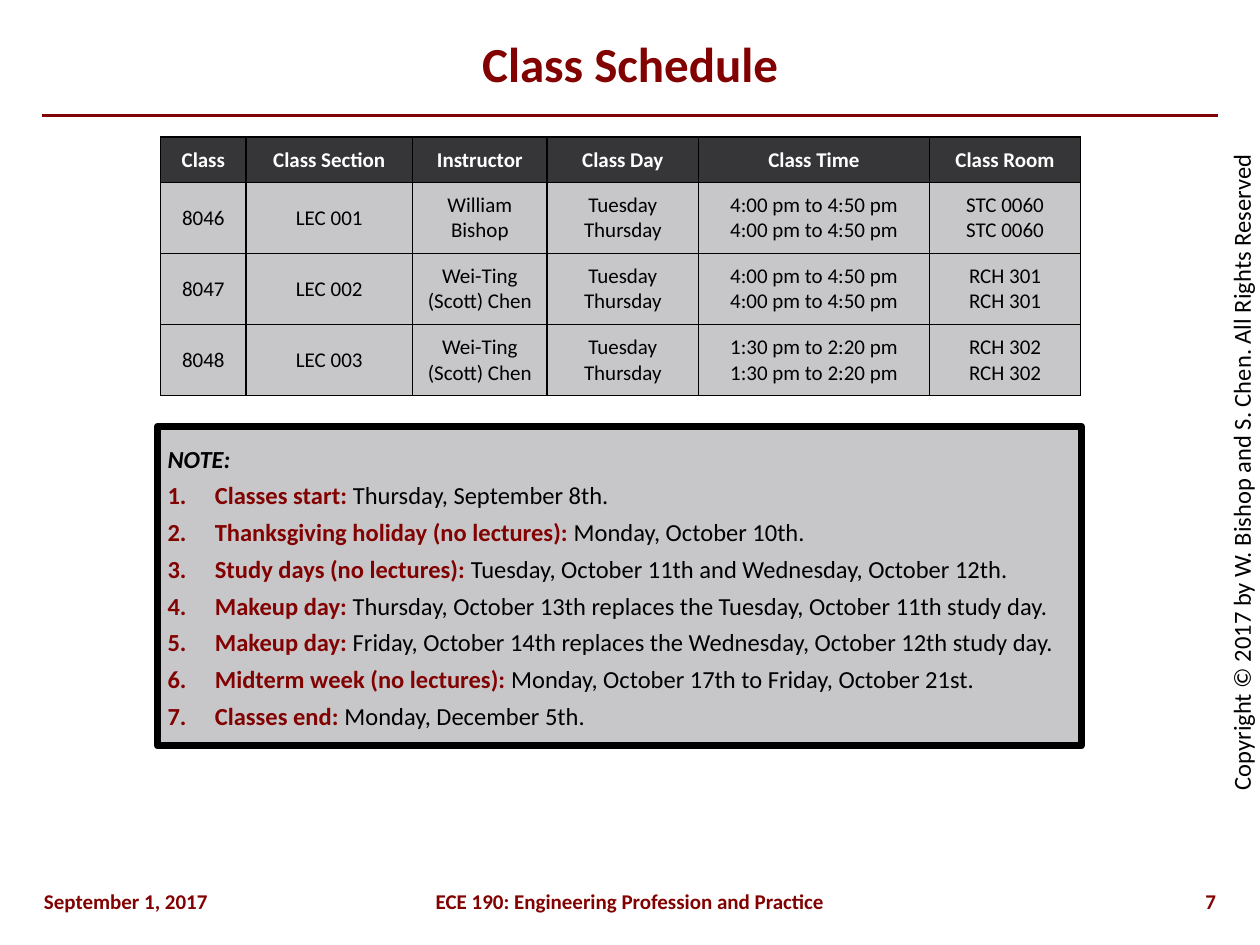
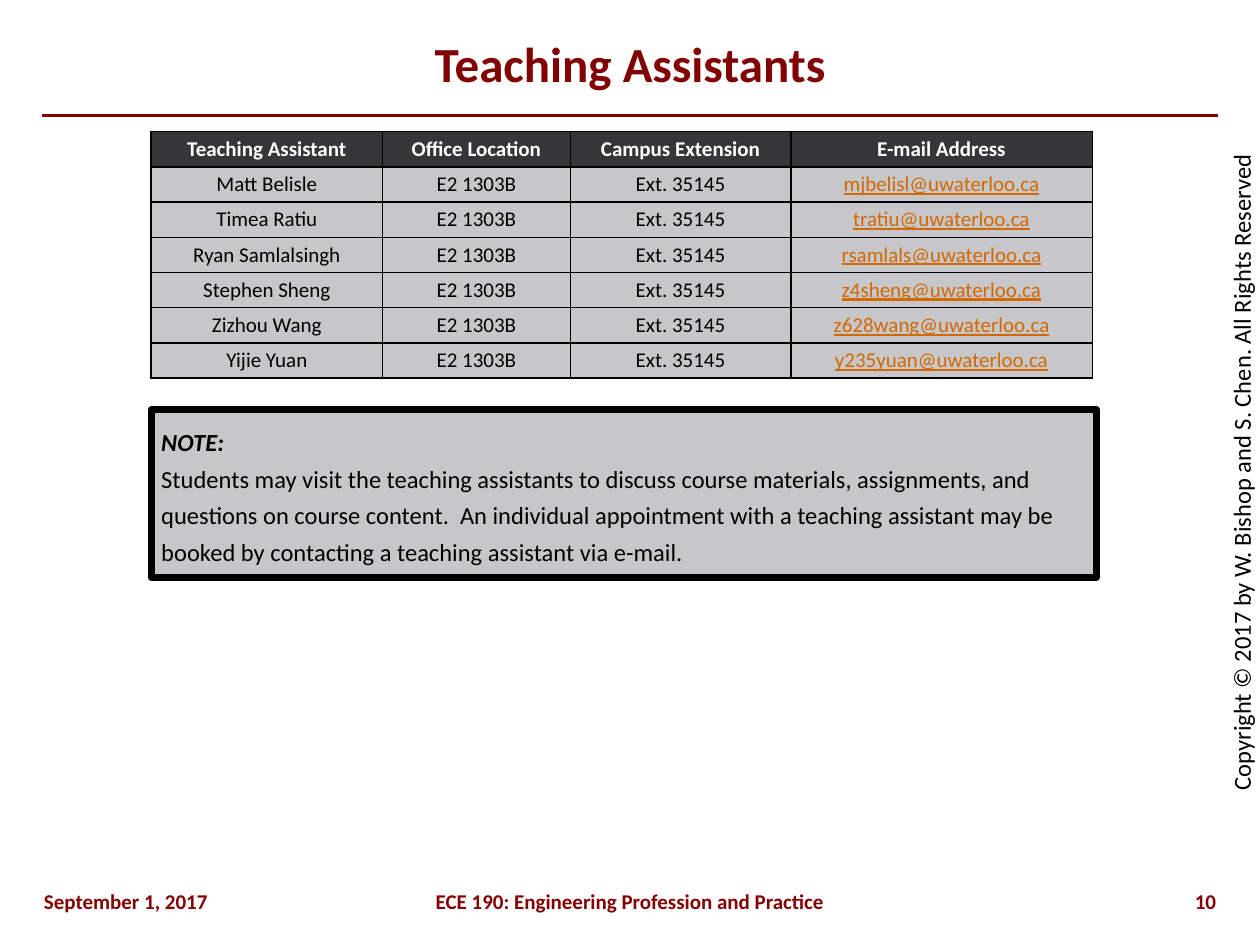
import pptx
import pptx.dml.color
import pptx.enum.shapes
import pptx.enum.text
import pptx.oxml.ns
import pptx.util
from lxml import etree

Pt = pptx.util.Pt
RGBColor = pptx.dml.color.RGBColor
ALIGN = pptx.enum.text.PP_ALIGN
ANCHOR = pptx.enum.text.MSO_ANCHOR
qualified = pptx.oxml.ns.qn

MAROON = RGBColor(0x82, 0x01, 0x01)
BLACK = RGBColor(0x00, 0x00, 0x00)
WHITE = RGBColor(0xFF, 0xFF, 0xFF)
CHARCOAL = RGBColor(0x36, 0x36, 0x39)
SILVER = RGBColor(0xC7, 0xC7, 0xCA)
ORANGE = RGBColor(0xD2, 0x69, 0x00)

FONT = "Calibri"
DATE = "September 1, 2017"
COURSE = "ECE 190: Engineering Profession and Practice"
COPYRIGHT = "Copyright © 2017 by W. Bishop and S. Chen. All Rights Reserved"
NOTE_INSET = 5.76
NUMBER_INDENT = 27


class Deck:
    def __init__(self):
        self.presentation = pptx.Presentation()
        self.presentation.slide_width = Pt(720)
        self.presentation.slide_height = Pt(540)
        self.slide = None

    def add_slide(self, title, number):
        layout = self.presentation.slide_layouts.get_by_name("Title Only")
        self.slide = self.presentation.slides.add_slide(layout)
        self.title(title)
        self.rule()
        self.label(COPYRIGHT, 451.4, 257.8, 516.2, 24.5, ALIGN.CENTER,
                   size=14, color=BLACK, bold=False, rotation=270)
        self.label(DATE, 18, 504, 126, 18, ALIGN.LEFT)
        self.label(COURSE, 120, 504, 480, 18, ALIGN.CENTER)
        self.label(str(number), 612, 504, 90, 18, ALIGN.RIGHT)

    def run(self, paragraph, text, size, color, bold=False, italic=False, underline=False):
        run = paragraph.add_run()
        run.text = text
        font = run.font
        font.name, font.size = FONT, Pt(size)
        font.bold, font.italic, font.underline = bold, italic, underline
        font.color.rgb = color

    def title(self, text):
        shape = self.slide.shapes.title
        shape.left, shape.top, shape.width, shape.height = Pt(24), Pt(12), Pt(672), Pt(48)
        frame = shape.text_frame
        frame.auto_size = pptx.enum.text.MSO_AUTO_SIZE.NONE
        frame.vertical_anchor = ANCHOR.MIDDLE
        paragraph = frame.paragraphs[0]
        paragraph.alignment = ALIGN.CENTER
        self.run(paragraph, text, 28, MAROON, bold=True)

    def rule(self):
        line = self.slide.shapes.add_connector(
            pptx.enum.shapes.MSO_CONNECTOR.STRAIGHT, Pt(24), Pt(66), Pt(696), Pt(66))
        line.line.color.rgb = MAROON
        line.line.width = Pt(2.25)
        etree.SubElement(line._element.spPr, qualified("a:effectLst"))

    def label(self, text, left, top, width, height, alignment,
              size=12, color=MAROON, bold=True, rotation=0):
        box = self.slide.shapes.add_textbox(Pt(left), Pt(top), Pt(width), Pt(height))
        box.rotation = rotation
        box.text_frame.word_wrap = True
        paragraph = box.text_frame.paragraphs[0]
        paragraph.alignment = alignment
        self.run(paragraph, text, size, color, bold)

    def table(self, left, top, widths, heights, inset, rows):
        table = self.slide.shapes.add_table(
            len(rows), len(widths), Pt(left), Pt(top), Pt(sum(widths)), Pt(sum(heights))).table
        for column, width in zip(table.columns, widths):
            column.width = Pt(width)
        for row, height in zip(table.rows, heights):
            row.height = Pt(height)
        for row_index, row in enumerate(rows):
            for column_index, text in enumerate(row):
                self.cell(table.cell(row_index, column_index), text, inset, row_index == 0)

    def cell(self, cell, text, inset, header):
        cell.margin_left = cell.margin_right = Pt(inset)
        cell.margin_top = cell.margin_bottom = Pt(inset)
        cell.vertical_anchor = ANCHOR.MIDDLE
        self.borders(cell)
        cell.fill.solid()
        cell.fill.fore_color.rgb = CHARCOAL if header else SILVER
        email = "@" in text
        color = WHITE if header else ORANGE if email else BLACK
        for index, line in enumerate(text.split("\n")):
            frame = cell.text_frame
            paragraph = frame.add_paragraph() if index else frame.paragraphs[0]
            paragraph.alignment = ALIGN.CENTER
            self.run(paragraph, line, 12, color, bold=header, underline=email)

    def borders(self, cell):
        properties = cell._tc.get_or_add_tcPr()
        for side in ("a:lnL", "a:lnR", "a:lnT", "a:lnB"):
            border = etree.SubElement(properties, qualified(side), w=str(Pt(1)))
            fill = etree.SubElement(border, qualified("a:solidFill"))
            etree.SubElement(fill, qualified("a:srgbClr"), val=str(BLACK))

    def note(self, left, top, width, height, text="", numbered=()):
        box = self.slide.shapes.add_shape(
            pptx.enum.shapes.MSO_SHAPE.RECTANGLE, Pt(left), Pt(top), Pt(width), Pt(height))
        box.shadow.inherit = False
        box.fill.solid()
        box.fill.fore_color.rgb = SILVER
        box.line.color.rgb = BLACK
        box.line.width = Pt(4)
        frame = box.text_frame
        frame.word_wrap = True
        frame.vertical_anchor = ANCHOR.TOP
        frame.margin_left = frame.margin_right = Pt(NOTE_INSET)
        frame.margin_top = frame.margin_bottom = Pt(NOTE_INSET)
        self.run(self.note_paragraph(frame.paragraphs[0]), "NOTE:", 14, BLACK, True, True)
        if text:
            self.run(self.note_paragraph(frame.add_paragraph()), text, 14, BLACK)
        for heading, detail in numbered:
            paragraph = self.note_paragraph(frame.add_paragraph())
            self.number(paragraph)
            self.run(paragraph, heading + ": ", 14, MAROON, bold=True)
            self.run(paragraph, detail, 14, BLACK)

    def note_paragraph(self, paragraph):
        paragraph.alignment = ALIGN.LEFT
        paragraph.line_spacing = 1.25
        return paragraph

    def number(self, paragraph):
        properties = paragraph._p.get_or_add_pPr()
        properties.set("marL", str(Pt(NUMBER_INDENT)))
        properties.set("indent", str(-Pt(NUMBER_INDENT)))
        color = etree.SubElement(properties, qualified("a:buClr"))
        etree.SubElement(color, qualified("a:srgbClr"), val=str(MAROON))
        etree.SubElement(properties, qualified("a:buAutoNum"), type="arabicPeriod")


def add_class_schedule(deck):
    deck.add_slide("Class Schedule", 7)
    sections = [
        ("8046", "LEC 001", "William Bishop", "4:00 pm to 4:50 pm", "STC 0060"),
        ("8047", "LEC 002", "Wei-Ting (Scott) Chen", "4:00 pm to 4:50 pm", "RCH 301"),
        ("8048", "LEC 003", "Wei-Ting (Scott) Chen", "1:30 pm to 2:20 pm", "RCH 302"),
    ]
    rows = [("Class", "Class Section", "Instructor", "Class Day", "Class Time", "Class Room")]
    for number, section, instructor, time, room in sections:
        rows.append((number, section, instructor, "Tuesday\nThursday",
                     f"{time}\n{time}", f"{room}\n{room}"))
    deck.table(91.7, 78.4, [49, 95, 77, 86.5, 132, 86.4], [25.9] + [40.6] * 3, 5.6, rows)
    deck.note(90, 243.6, 528, 182.6, numbered=[
        ("Classes start", "Thursday, September 8th."),
        ("Thanksgiving holiday (no lectures)", "Monday, October 10th."),
        ("Study days (no lectures)", "Tuesday, October 11th and Wednesday, October 12th."),
        ("Makeup day", "Thursday, October 13th replaces the Tuesday, October 11th study day."),
        ("Makeup day", "Friday, October 14th replaces the Wednesday, October 12th study day."),
        ("Midterm week (no lectures)", "Monday, October 17th to Friday, October 21st."),
        ("Classes end", "Monday, December 5th."),
    ])


def add_teaching_assistants(deck):
    deck.add_slide("Teaching Assistants", 10)
    assistants = [
        ("Matt Belisle", "mjbelisl"),
        ("Timea Ratiu", "tratiu"),
        ("Ryan Samlalsingh", "rsamlals"),
        ("Stephen Sheng", "z4sheng"),
        ("Zizhou Wang", "z628wang"),
        ("Yijie Yuan", "y235yuan"),
    ]
    rows = [("Teaching Assistant", "Office Location", "Campus Extension", "E-mail Address")]
    rows += [(name, "E2 1303B", "Ext. 35145", f"{user}@uwaterloo.ca")
             for name, user in assistants]
    deck.table(86.4, 75.2, [132.2, 107.3, 126, 172.3], [20.15] * len(rows), 2.75, rows)
    deck.note(86.4, 234, 540, 96.2, text=(
        "Students may visit the teaching assistants to discuss course materials, "
        "assignments, and questions on course content.  An individual appointment with a "
        "teaching assistant may be booked by contacting a teaching assistant via e-mail."))


def main():
    deck = Deck()
    add_class_schedule(deck)
    add_teaching_assistants(deck)
    deck.presentation.save("out.pptx")


if __name__ == "__main__":
    main()
